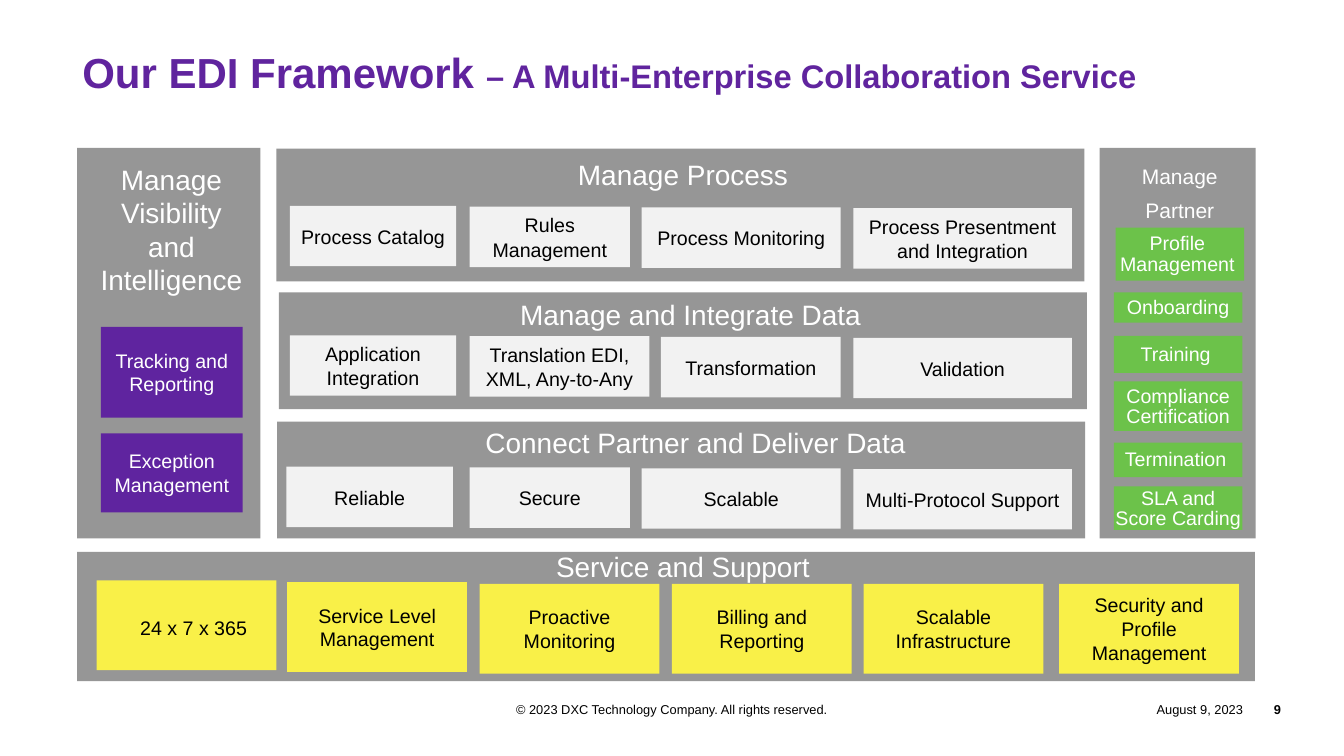
import pptx
import pptx.dml.color
import pptx.enum.shapes
import pptx.enum.text
import pptx.util

Pt = pptx.util.Pt
ALIGN = pptx.enum.text.PP_ALIGN
ANCHOR = pptx.enum.text.MSO_ANCHOR

COLORS = {"band": "969696", "cell": "F2F2F2", "partner": "6CC24A", "visibility": "5F249F",
          "support": "F9F048", "title": "60249E", "white": "FFFFFF", "black": "000000"}
FONT = "Arial"
LABEL_SIZE, HEADING_SIZE = 16.8, 24
WIDE_INSETS = (11.5, 5.8, 11.5, 5.8)
CELL_INSETS = (5.8, 2.2, 5.8, 2.2)

# Content: boxes are (left, top, width, height)
TITLE = [("Our EDI Framework ", 36), ("– A Multi-Enterprise Collaboration Service", 28)]

PROCESS_BANDS = [
    # heading, band box, heading box, top of cells, cells (label, left, width)
    ("Manage Process", (236.9, 127.4, 692.6, 113.8), (437.8, 128.9, 295.2, 46.1), 176.4,
     [("Process Catalog", 248.4, 142.6), ("Rules Management", 402.5, 137.5),
      ("Process Monitoring", 550.1, 170.6), ("Process Presentment and Integration", 731.5, 187.2)]),
    ("Manage and Integrate Data", (239, 250.6, 692.6, 100.1), (364.3, 249.1, 455, 46.1), 287.4,
     [("Application Integration", 248.4, 142.6), ("Translation EDI, XML, Any-to-Any", 402.5, 154.1),
      ("Transformation", 566.6, 154.1), ("Validation", 731.5, 187.2)]),
    ("Connect Partner and Deliver Data", (237.6, 361.4, 692.6, 100.1), (368.6, 359.3, 455, 46.1), 400,
     [("Reliable", 245.5, 142.6), ("Secure", 402.5, 137.5),
      ("Scalable", 550.1, 170.6), ("Multi-Protocol Support", 731.5, 187.2)]),
]
CELL_HEIGHT, CELL_STEP_DOWN = 51.8, 0.7

VISIBILITY_BAND = (66.2, 126.7, 157, 334.8)
VISIBILITY_HEADING = ("Manage Visibility and Intelligence", (70.6, 133.2, 152.6, 137.5))
VISIBILITY = [("Tracking and Reporting", 280.1, 77.8), ("Exception Management", 371.5, 67.7)]

PARTNER_BAND = (942.5, 126.7, 133.9, 334.8)
PARTNER_HEADING = ("Manage\nPartner", (956.9, 127.4, 108.7, 66.2))
PARTNER = [
    # label, left, top, height, right inset
    ("Profile Management", 956.2, 195.1, 45.4, 4.3),
    ("Onboarding", 954.7, 250.6, 25.9, 0),
    ("Training", 954.7, 288, 31.7, 4.3),
    ("Compliance Certification", 954.7, 326.9, 42.5, 0),
    ("Termination", 954.7, 379.4, 29.5, 4.3),
    ("SLA and Score Carding", 954.7, 416.9, 37.4, 0),
]

SUPPORT_BAND = (66.2, 473, 1009.4, 110.9)
SUPPORT_HEADING = ("Service and Support", (414.7, 468, 341.3, 32.4))
AVAILABILITY = ("24 x 7 x 365", (100.8, 496.8, 130.3, 77))
SUPPORT = [("", 82.8, 497.5), ("Service Level Management", 246.2, 499),
           ("Proactive Monitoring", 411.1, 500.4), ("Billing and\nReporting", 576, 500.4),
           ("Scalable Infrastructure", 740.2, 500.4),
           ("Security and Profile Management", 907.9, 500.4)]

FOOTER = [
    # text, left, width, alignment, bold
    ("© 2023 DXC Technology Company. All rights reserved.", 378, 396, ALIGN.CENTER, False),
    ("August 9, 2023", 936.7, 128.9, ALIGN.RIGHT, False),
    ("9", 1065.6, 32.4, ALIGN.RIGHT, True),
]

deck = pptx.Presentation()
deck.slide_width, deck.slide_height = Pt(1152), Pt(648)
slide = deck.slides.add_slide(deck.slide_layouts[6])


def rgb(name):
    return pptx.dml.color.RGBColor.from_string(COLORS[name])


def style_run(run, size, color, bold=False):
    run.font.name, run.font.size, run.font.bold = FONT, Pt(size), bold
    run.font.color.rgb = rgb(color)


def write(shape, text, size, color, insets=WIDE_INSETS, anchor=ANCHOR.MIDDLE,
          spacing=None, align=ALIGN.CENTER, bold=False, wrap=True):
    frame = shape.text_frame
    frame.text = text
    frame.word_wrap, frame.vertical_anchor = wrap, anchor
    (frame.margin_left, frame.margin_top,
     frame.margin_right, frame.margin_bottom) = map(Pt, insets)
    for paragraph in frame.paragraphs:
        paragraph.alignment = align
        if spacing:
            paragraph.line_spacing = Pt(spacing)
        for run in paragraph.runs:
            style_run(run, size, color, bold)


def block(box, fill):
    shape = slide.shapes.add_shape(pptx.enum.shapes.MSO_SHAPE.RECTANGLE, *map(Pt, box))
    shape.shadow.inherit = False
    shape.fill.solid()
    shape.fill.fore_color.rgb = rgb(fill)
    shape.line.fill.background()
    return shape


def label(box, text, size=HEADING_SIZE, color="white", anchor=ANCHOR.TOP, **options):
    write(slide.shapes.add_textbox(*map(Pt, box)), text, size, color, anchor=anchor, **options)


# Title
title = slide.shapes.add_textbox(Pt(70.6), Pt(46.1), Pt(1022.4), Pt(54)).text_frame
title.word_wrap = True
title.margin_left = title.margin_top = title.margin_right = title.margin_bottom = 0
title.paragraphs[0].line_spacing = 0.85
for words, size in TITLE:
    run = title.paragraphs[0].add_run()
    run.text = words
    style_run(run, size, "title", True)

# Process, data and connection bands
for heading, band, heading_box, top, cells in PROCESS_BANDS:
    block(band, "band")
    label(heading_box, heading)
    for i, (name, left, width) in enumerate(cells):
        cell = block((left, top + i * CELL_STEP_DOWN, width, CELL_HEIGHT), "cell")
        write(cell, name, LABEL_SIZE, "black", CELL_INSETS, spacing=20.8)

# Visibility column
block(VISIBILITY_BAND, "band")
label(VISIBILITY_HEADING[1], VISIBILITY_HEADING[0])
for name, top, height in VISIBILITY:
    write(block((86.4, top, 121.7, height), "visibility"), name, LABEL_SIZE, "white")

# Partner column
block(PARTNER_BAND, "band")
label(PARTNER_HEADING[1], PARTNER_HEADING[0], size=18, spacing=28.8)
for name, left, top, height, right_inset in PARTNER:
    write(block((left, top, 110.2, height), "partner"), name, LABEL_SIZE, "white",
          (0, 3.6, right_inset, 2.2), spacing=17.6)

# Service and support band
block(SUPPORT_BAND, "band")
label(SUPPORT_HEADING[1], SUPPORT_HEADING[0], spacing=25.6, wrap=False)
for name, left, top in SUPPORT:
    service = block((left, top, 154.1, 77), "support")
    if name:
        write(service, name, LABEL_SIZE, "black")
label(AVAILABILITY[1], AVAILABILITY[0], LABEL_SIZE, "black", ANCHOR.MIDDLE,
      spacing=25.6, wrap=False)

# Footer
for text, left, width, align, bold in FOOTER:
    label((left, 596.9, width, 21.6), text, 11, "black", ANCHOR.MIDDLE,
          insets=(0, 0, 0, 0), align=align, bold=bold, wrap=False)

deck.save("out.pptx")
